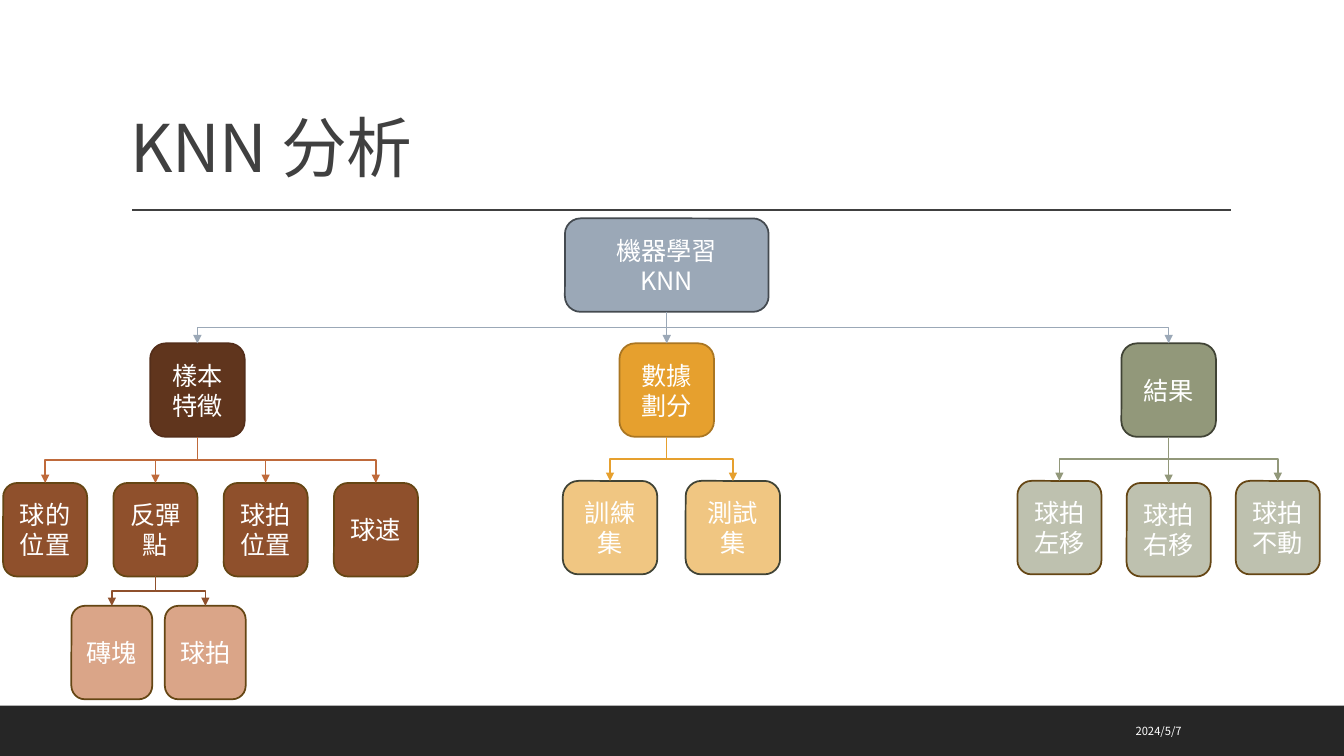
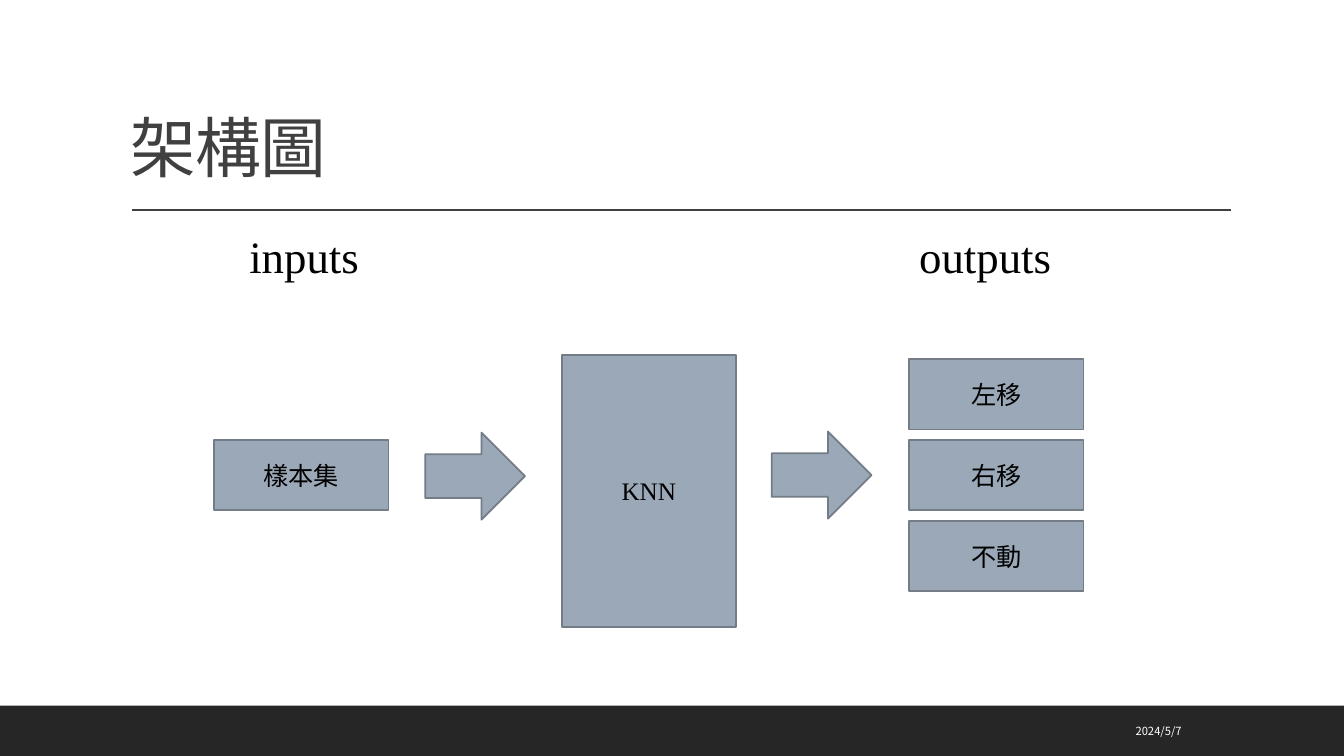
"""Build two slides: a KNN analysis tree and an input-to-output architecture diagram."""
from lxml.etree import SubElement
from pptx import Presentation
from pptx.dml.color import RGBColor as RGB
from pptx.enum.shapes import MSO_CONNECTOR as CONN, MSO_SHAPE as SHAPE
from pptx.enum.text import MSO_ANCHOR as ANCHOR, PP_ALIGN as ALIGN
from pptx.oxml.ns import qn
from pptx.util import Pt

PX = 9525
SANS, SERIF = "Noto Sans CJK SC", "Times New Roman"
COLORS = {
    "white": "FFFFFF", "black": "000000", "ink": "404040", "band": "262626",
    "slate": "9BA8B7", "slate_edge": "444A50", "slate_line": "737C87",
    "brown": "60351D", "brown_edge": "542E1A", "copper": "BF6A3B",
    "rust": "8F502C", "gold_edge": "654614", "peach": "DAA588",
    "amber": "E6A02E", "amber_edge": "AA7622", "sand": "F0C682",
    "olive": "92987A", "olive_edge": "404335", "sage": "BEC1AF",
}
C = {name: RGB.from_string(value) for name, value in COLORS.items()}


def write(sp, text, color, size=18, font=SANS, align=ALIGN.CENTER, anchor=ANCHOR.MIDDLE):
    tf = sp.text_frame
    tf.word_wrap = True
    tf.vertical_anchor = anchor
    tf.text = text
    for p in tf.paragraphs:
        p.alignment = align
        p.font.size = Pt(size)
        p.font.name = font
        p.font.color.rgb = C[color]
        ea = SANS if font == SERIF else font
        SubElement(p.font._element, qn("a:ea")).set("typeface", ea)
    return sp


def add_box(s, kind, x, y, w, h, fill, line=None):
    sp = s.shapes.add_shape(kind, x * PX, y * PX, w * PX, h * PX)
    sp.shadow.inherit = False
    sp.fill.solid()
    sp.fill.fore_color.rgb = C[fill]
    if line:
        sp.line.color.rgb = C[line]
        sp.line.width = Pt(1.25)
    else:
        sp.line.fill.background()
    return sp


prs = Presentation()
prs.slide_width, prs.slide_height = 1280 * PX, 720 * PX

slides = []
for title in ("KNN 分析", "架構圖"):
    s = prs.slides.add_slide(prs.slide_layouts[6])
    slides.append(s)
    add_box(s, SHAPE.RECTANGLE, 0, 672, 1280, 48, "band")
    rule = s.shapes.add_connector(CONN.STRAIGHT, 126 * PX, 200 * PX, 1172 * PX, 200 * PX)
    rule.line.color.rgb = C["ink"]
    rule.line.width = Pt(1)
    SubElement(rule._element.spPr, qn("a:effectLst"))
    sp = s.shapes.add_textbox(115 * PX, 30 * PX, 1056 * PX, 153 * PX)
    write(sp, title, "ink", 47, align=ALIGN.LEFT, anchor=ANCHOR.BOTTOM)
    p = sp.text_frame.paragraphs[0]
    p.line_spacing = 0.9
    p.font._element.set("spc", "-50")
    sp = s.shapes.add_textbox(863 * PX, 677 * PX, 272 * PX, 38 * PX)
    write(sp, "2024/5/7", "white", 8, "Noto Sans CJK TC", ALIGN.RIGHT)

tree, flow = slides

ROOT = "機器學習\nKNN"
root = add_box(tree, SHAPE.ROUNDED_RECTANGLE, 538, 208, 194, 89, "slate", "slate_edge")
nodes = {ROOT: write(root, ROOT, "white")}

# parent, link colour, x, pitch, y, width, fill, edge, labels
branches = [
    (ROOT, "slate", 143, 0, 327, 90, "brown", "brown_edge", ["樣本\n特徵"]),
    (ROOT, "slate", 590, 0, 327, 90, "amber", "amber_edge", ["數據\n劃分"]),
    (ROOT, "slate", 1068, 0, 327, 90, "olive", "olive_edge", ["結果"]),
    ("樣本\n特徵", "copper", 3, 105, 460, 80, "rust", "gold_edge",
     ["球的位置", "反彈點", "球拍\n位置", "球速"]),
    ("反彈點", "rust", 68, 89, 577, 77, "peach", "gold_edge", ["磚塊", "球拍"]),
    ("數據\n劃分", "amber", 536, 117, 458, 90, "sand", "olive_edge", ["訓練集", "測試集"]),
    ("結果", "olive", 969, 208, 458, 80, "sage", "gold_edge", ["球拍\n左移", "球拍\n不動"]),
    ("結果", "olive", 1073, 0, 460, 80, "sage", "gold_edge", ["球拍\n右移"]),
]
for parent, link, x, pitch, y, w, fill, edge, labels in branches:
    for i, label in enumerate(labels):
        sp = add_box(tree, SHAPE.ROUNDED_RECTANGLE, x + i * pitch, y, w, 89, fill, edge)
        nodes[label] = write(sp, label, "white")
        top = nodes[parent]
        x1, y1 = top.left + top.width // 2, top.top + top.height
        x2, y2 = sp.left + sp.width // 2, sp.top
        dx, dy = x2 - x1, y2 - y1
        cxn = tree.shapes.add_connector(CONN.ELBOW if dx else CONN.STRAIGHT, x1, y1, x2, y2)
        cxn.begin_connect(top, 2)
        cxn.end_connect(sp, 0)
        if dx:
            cxn.left, cxn.top = (x1 + x2 - dy) // 2, (y1 + y2 - abs(dx)) // 2
            cxn.width, cxn.height = dy, abs(dx)
            xfrm = cxn._element.spPr.find(qn("a:xfrm"))
            xfrm.set("rot", "16200000" if dx > 0 else "5400000")
            xfrm.set("flipH", "1" if dx > 0 else "0")
        cxn.line.color.rgb = C[link]
        cxn.line.width = Pt(1)
        SubElement(cxn.line._get_or_add_ln(), qn("a:tailEnd")).set("type", "triangle")
        SubElement(cxn._element.spPr, qn("a:effectLst"))

blocks = [("樣本集", 204, 419, 67), ("KNN", 535, 338, 259)]
blocks += [(label, 866, 342 + i * 77, 67) for i, label in enumerate(["左移", "右移", "不動"])]
for label, x, y, h in blocks:
    sp = add_box(flow, SHAPE.RECTANGLE, x, y, 166, h, "slate", "slate_line")
    write(sp, label, "black", font=SERIF)

for x, y in ((405, 412), (735, 411)):
    add_box(flow, SHAPE.RIGHT_ARROW, x, y, 95, 83, "slate", "slate_line")

for label, x in (("inputs", 228), ("outputs", 866)):
    sp = flow.shapes.add_textbox(x * PX, 213 * PX, 166 * PX, 61 * PX)
    write(sp, label, "black", 32, SERIF, ALIGN.LEFT, ANCHOR.TOP)

prs.save("out.pptx")
